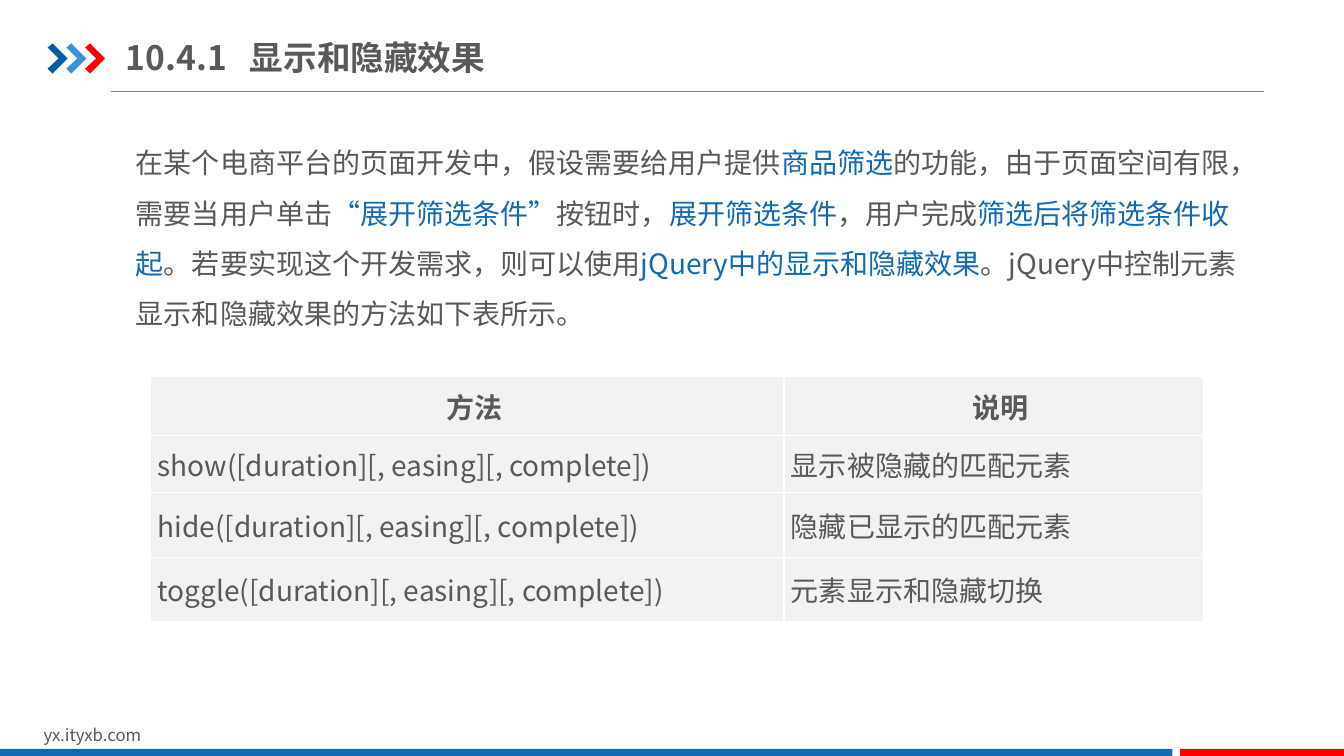
import pptx
import pptx.util
import pptx.dml.color
import pptx.enum.shapes
import pptx.enum.text
import pptx.oxml
import pptx.oxml.ns

Pt = pptx.util.Pt
FACE = "Noto Sans CJK SC"
GREY, BLUE, RED, PALE = "595959", "1369B2", "FF0000", "F2F2F2"
ALIGN = pptx.enum.text.PP_ALIGN
MIDDLE = pptx.enum.text.MSO_ANCHOR.MIDDLE
NS = pptx.oxml.ns.nsdecls("a")

STORY = [
    ("在某个电商平台的页面开发中，假设需要给用户提供", GREY),
    ("商品筛选", BLUE),
    ("的功能，由于页面空间有限，需要当用户单击", GREY),
    ("“展开筛选条件”", BLUE),
    ("按钮时，", GREY),
    ("展开筛选条件", BLUE),
    ("，用户完成", GREY),
    ("筛选后将筛选条件收起", BLUE),
    ("。若要实现这个开发需求，则可以使用", GREY),
    ("jQuery中的显示和隐藏效果", BLUE),
    ("。jQuery中控制元素显示和隐藏效果的方法如下表所示。", GREY),
]
METHODS = [
    ("方法", "说明"),
    ("show([duration][, easing][, complete])", "显示被隐藏的匹配元素"),
    ("hide([duration][, easing][, complete])", "隐藏已显示的匹配元素"),
    ("toggle([duration][, easing][, complete])", "元素显示和隐藏切换"),
]


def tint(code):
    return pptx.dml.color.RGBColor.from_string(code)


def apply(thing, form):
    for key, value in form.items():
        setattr(thing, key, value)


def write(para, parts, size, bold=False):
    for text, code in parts:
        run = para.add_run()
        run.text = text
        apply(run.font, {"name": FACE, "size": Pt(size), "bold": bold})
        run.font.color.rgb = tint(code)
        face = pptx.oxml.parse_xml(f'<a:ea {NS} typeface="{FACE}"/>')
        run._r.get_or_add_rPr().append(face)


def paint(shape, code):
    shape.shadow.inherit = False
    shape.fill.solid()
    shape.fill.fore_color.rgb = tint(code)
    shape.line.fill.background()


def add_bar(slide, left, width, code):
    kind = pptx.enum.shapes.MSO_SHAPE.RECTANGLE
    bar = slide.shapes.add_shape(kind, Pt(left), Pt(535), Pt(width), Pt(6))
    paint(bar, code)


def add_arrow(slide, left, code):
    top = 31
    edge = [(0, 3), (3.6, 0), (14.4, 10.8), (3.6, 21.6), (0, 18), (7.9, 10.8)]
    spots = [(Pt(left + x), Pt(top + y)) for x, y in edge]
    pen = slide.shapes.build_freeform(*spots[0])
    pen.add_line_segments(spots[1:], close=True)
    paint(pen.convert_to_shape(), code)


def add_rule(slide):
    kind = pptx.enum.shapes.MSO_CONNECTOR.STRAIGHT
    rule = slide.shapes.add_connector(kind, Pt(79.5), Pt(65.5), Pt(903), Pt(65.5))
    rule.line.color.rgb = tint("808080")
    rule.line.width = Pt(0.75)
    rule._element.spPr.append(pptx.oxml.parse_xml(f"<a:effectLst {NS}/>"))


def add_title(slide, number, name):
    title = slide.shapes.title
    apply(title, {"left": Pt(90), "top": Pt(21), "width": Pt(307), "height": Pt(39.5)})
    frame = title.text_frame
    apply(frame, {
        "margin_left": 0, "margin_right": 0, "margin_top": Pt(5), "margin_bottom": Pt(5),
        "vertical_anchor": MIDDLE, "word_wrap": True,
        "auto_size": pptx.enum.text.MSO_AUTO_SIZE.NONE,
    })
    para = frame.paragraphs[0]
    para.alignment = ALIGN.LEFT
    stop = f'<a:tabLst {NS}><a:tab pos="{Pt(88.5)}" algn="l"/></a:tabLst>'
    para._p.get_or_add_pPr().append(pptx.oxml.parse_xml(stop))
    write(para, [(f"{number}\t{name}", GREY)], 24, True)


def add_text(slide, place, parts, size, space=1.0):
    box = slide.shapes.add_textbox(*map(Pt, place))
    box.text_frame.word_wrap = True
    para = box.text_frame.paragraphs[0]
    para.line_spacing = space
    write(para, parts, size)


def fill_cell(cell, text, head):
    apply(cell, {
        "margin_left": Pt(5), "margin_right": Pt(5), "margin_top": 0, "margin_bottom": 0,
        "vertical_anchor": MIDDLE,
    })
    form = cell._tc.get_or_add_tcPr()
    for side in ("lnL", "lnR", "lnT", "lnB"):
        form.append(pptx.oxml.parse_xml(
            f'<a:{side} {NS} w="{Pt(1)}"><a:solidFill><a:srgbClr val="FFFFFF"/>'
            f"</a:solidFill></a:{side}>"))
    cell.fill.solid()
    cell.fill.fore_color.rgb = tint(PALE)
    para = cell.text_frame.paragraphs[0]
    para.alignment = ALIGN.CENTER if head else ALIGN.LEFT
    if head:
        para._p.get_or_add_pPr().set("indent", str(Pt(10)))
    write(para, [(text, GREY)], 20, head)


def add_grid(slide, rows, wides, highs):
    place = map(Pt, (107.5, 269, sum(wides), sum(highs)))
    grid = slide.shapes.add_table(len(rows), len(wides), *place).table
    for col, wide in zip(grid.columns, wides):
        col.width = Pt(wide)
    for row, high in zip(grid.rows, highs):
        row.height = Pt(high)
    for r, row in enumerate(rows):
        for c, text in enumerate(row):
            fill_cell(grid.cell(r, c), text, r == 0)


def main():
    deck = pptx.Presentation()
    apply(deck, {"slide_width": Pt(960), "slide_height": Pt(540)})
    slide = deck.slides.add_slide(deck.slide_layouts[5])
    add_rule(slide)
    for i, code in enumerate(("005DA2", "3992DB", RED)):
        add_arrow(slide, 34 + 13.4 * i, code)
    add_text(slide, (24, 514, 229, 21.5), [("yx.ityxb.com", GREY)], 12)
    add_bar(slide, 0, 837.5, BLUE)
    add_bar(slide, 843, 117, RED)
    add_title(slide, "10.4.1", "显示和隐藏效果")
    add_text(slide, (90, 88.5, 809.5, 152.5), STORY, 20, 1.5)
    add_grid(slide, METHODS, (452.5, 300), (42, 41, 46, 46))
    deck.save("out.pptx")


if __name__ == "__main__":
    main()
